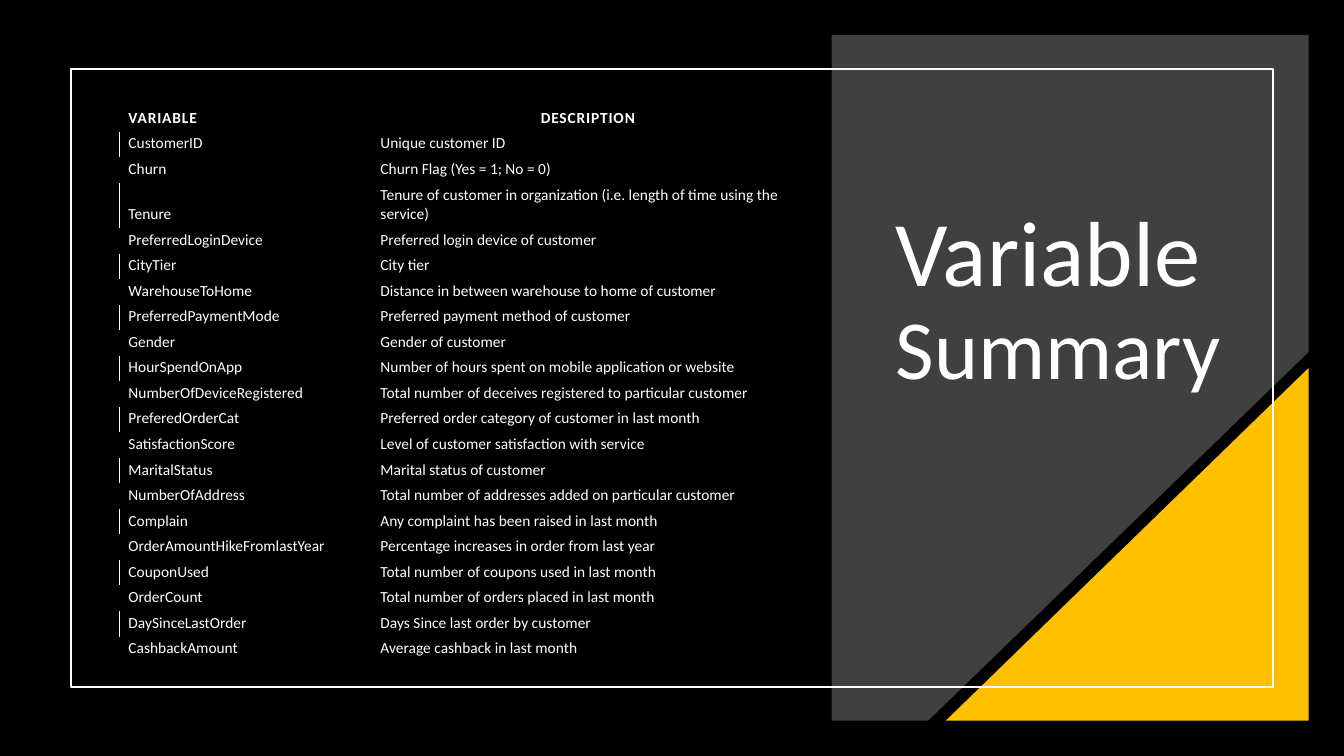
import lxml.etree
import pptx
import pptx.dml.color
import pptx.enum.shapes
import pptx.enum.text
import pptx.oxml.ns
import pptx.util

COLUMNS, ROWS = 160, 90
PLAIN_TABLE = "{2D5ABB26-0587-4C30-8999-92F81FD0307C}"
HEADINGS = ("VARIABLE", "DESCRIPTION")
VARIABLES = [
    ("CustomerID", "Unique customer ID"),
    ("Churn", "Churn Flag (Yes = 1; No = 0)"),
    ("Tenure", "Tenure of customer in organization (i.e. length of time using the service)"),
    ("PreferredLoginDevice", "Preferred login device of customer"),
    ("CityTier", "City tier"),
    ("WarehouseToHome", "Distance in between warehouse to home of customer"),
    ("PreferredPaymentMode", "Preferred payment method of customer"),
    ("Gender", "Gender of customer"),
    ("HourSpendOnApp", "Number of hours spent on mobile application or website"),
    ("NumberOfDeviceRegistered", "Total number of deceives registered to particular customer"),
    ("PreferedOrderCat", "Preferred order category of customer in last month"),
    ("SatisfactionScore", "Level of customer satisfaction with service"),
    ("MaritalStatus", "Marital status of customer"),
    ("NumberOfAddress", "Total number of addresses added on particular customer"),
    ("Complain", "Any complaint has been raised in last month"),
    ("OrderAmountHikeFromlastYear", "Percentage increases in order from last year"),
    ("CouponUsed", "Total number of coupons used in last month"),
    ("OrderCount", "Total number of orders placed in last month"),
    ("DaySinceLastOrder", "Days Since last order by customer"),
    ("CashbackAmount", "Average cashback in last month"),
]


def rgb(value):
    return pptx.dml.color.RGBColor.from_string(value)


def child(parent, tag, **attributes):
    return lxml.etree.SubElement(parent, pptx.oxml.ns.qn(tag), **attributes)


def write(paragraph, text, size, font="Calibri", color="FFFFFF", bold=False,
          align=pptx.enum.text.PP_ALIGN.LEFT, tracking=0):
    paragraph.alignment = align
    run = paragraph.add_run()
    run.text = text
    run.font.size = pptx.util.Pt(size)
    run.font.name = font
    run.font.bold = bold
    run.font.color.rgb = rgb(color)
    if tracking:
        run.font._element.set("spc", str(round(tracking * 100)))


class SummarySlide:
    white, black, gold = "FFFFFF", "000000", "FFC000"

    def __init__(self, deck):
        self.column = deck.slide_width / COLUMNS
        self.row = deck.slide_height / ROWS
        self.slide = deck.slides.add_slide(deck.slide_layouts[5])
        self.shapes = self.slide.shapes
        background = self.slide.background.fill
        background.solid()
        background.fore_color.rgb = rgb(self.black)

    def across(self, columns):
        return round(columns * self.column)

    def down(self, rows):
        return round(rows * self.row)

    def box(self, left, top, width, height):
        return self.across(left), self.down(top), self.across(width), self.down(height)

    def paint(self, shape, fill=None, line=None, weight=1.5):
        shape.shadow.inherit = False
        for part, color in ((shape.fill, fill), (shape.line.fill, line)):
            if color:
                part.solid()
                part.fore_color.rgb = rgb(color)
            else:
                part.background()
        if line:
            shape.line.width = pptx.util.Pt(weight)

    def panel(self, corners, opacity):
        points = [(self.across(x), self.down(y)) for x, y in corners]
        builder = self.shapes.build_freeform(*points[0], scale=1.0)
        builder.add_line_segments(points[1:], close=True)
        panel = builder.convert_to_shape()
        self.paint(panel, fill=self.white)
        tint = panel._element.spPr.find(".//" + pptx.oxml.ns.qn("a:srgbClr"))
        child(tint, "a:alpha", val=str(opacity * 1000))

    def corner(self, *place):
        corner = self.shapes.add_shape(
            pptx.enum.shapes.MSO_SHAPE.RIGHT_TRIANGLE, *self.box(*place))
        corner._element.spPr.find(pptx.oxml.ns.qn("a:xfrm")).set("flipH", "1")
        self.paint(corner, fill=self.gold)

    def frame(self, *place):
        frame = self.shapes.add_shape(
            pptx.enum.shapes.MSO_SHAPE.RECTANGLE, *self.box(*place))
        self.paint(frame, line=self.white)

    def title(self, words, *place):
        title = self.shapes.title
        title.left, title.top, title.width, title.height = self.box(*place)
        body = title.text_frame
        body.word_wrap = True
        body.auto_size = pptx.enum.text.MSO_AUTO_SIZE.NONE
        body.vertical_anchor = pptx.enum.text.MSO_ANCHOR.BOTTOM
        body.paragraphs[0].line_spacing = 0.9
        for text, size in words:
            write(body.paragraphs[0], text, size)
        self.shapes._spTree.append(title._element)

    def cell(self, cell, text, top_inset, fill=None, left_rule=False, **style):
        cell.vertical_anchor = pptx.enum.text.MSO_ANCHOR.BOTTOM
        cell.margin_left, cell.margin_right = self.across(1.1), 0
        cell.margin_top, cell.margin_bottom = self.down(top_inset), self.down(0.5)
        if fill:
            cell.fill.solid()
            cell.fill.fore_color.rgb = rgb(fill)
        else:
            cell.fill.background()
        if left_rule:
            properties = cell._tc.get_or_add_tcPr()
            rule = child(properties, "a:lnL", w=str(pptx.util.Pt(1)))
            child(child(rule, "a:solidFill"), "a:srgbClr", val=self.white)
            properties.insert(0, rule)
        write(cell.text_frame.paragraphs[0], text, 11, **style)

    def table(self, headings, entries, left, top, widths, heights):
        table = self.shapes.add_table(
            len(heights), len(widths),
            *self.box(left, top, sum(widths), sum(heights))).table
        table.horz_banding = False
        table._tbl.tblPr.find(pptx.oxml.ns.qn("a:tableStyleId")).text = PLAIN_TABLE
        for column, width in zip(table.columns, widths):
            column.width = self.across(width)
        for row, height in zip(table.rows, heights):
            row.height = self.down(height)
        alignments = (pptx.enum.text.PP_ALIGN.LEFT, pptx.enum.text.PP_ALIGN.CENTER)
        for index, (heading, align) in enumerate(zip(headings, alignments)):
            self.cell(table.cell(0, index), heading, 0.5,
                      bold=True, tracking=0.6, align=align)
        for number, (variable, description) in enumerate(entries, 1):
            ruled = number % 2 == 1
            fill = None if ruled else self.black
            self.cell(table.cell(number, 0), variable, 0, fill, left_rule=ruled)
            self.cell(table.cell(number, 1), description, 0.1, fill)


def main():
    deck = pptx.Presentation()
    deck.slide_width = pptx.util.Inches(13.33)
    deck.slide_height = pptx.util.Inches(7.5)
    summary = SummarySlide(deck)
    summary.panel([(99, 4.2), (155.8, 4.2), (155.8, 41.9), (110.5, 85.8), (99, 85.8)],
                  opacity=25)
    summary.corner(112.6, 43.8, 43.2, 42)
    summary.frame(8.4, 8.2, 143.2, 73.6)
    summary.title([("Variable", 66), (" Summary", 60)], 105.4, 10.6, 44, 37.3)
    heights = [3.5] + [5.4 if name == "Tenure" else 3.04 for name, _ in VARIABLES]
    summary.table(HEADINGS, VARIABLES, 14.2, 12.2, (30, 50.5), heights)
    deck.save("out.pptx")


if __name__ == "__main__":
    main()
